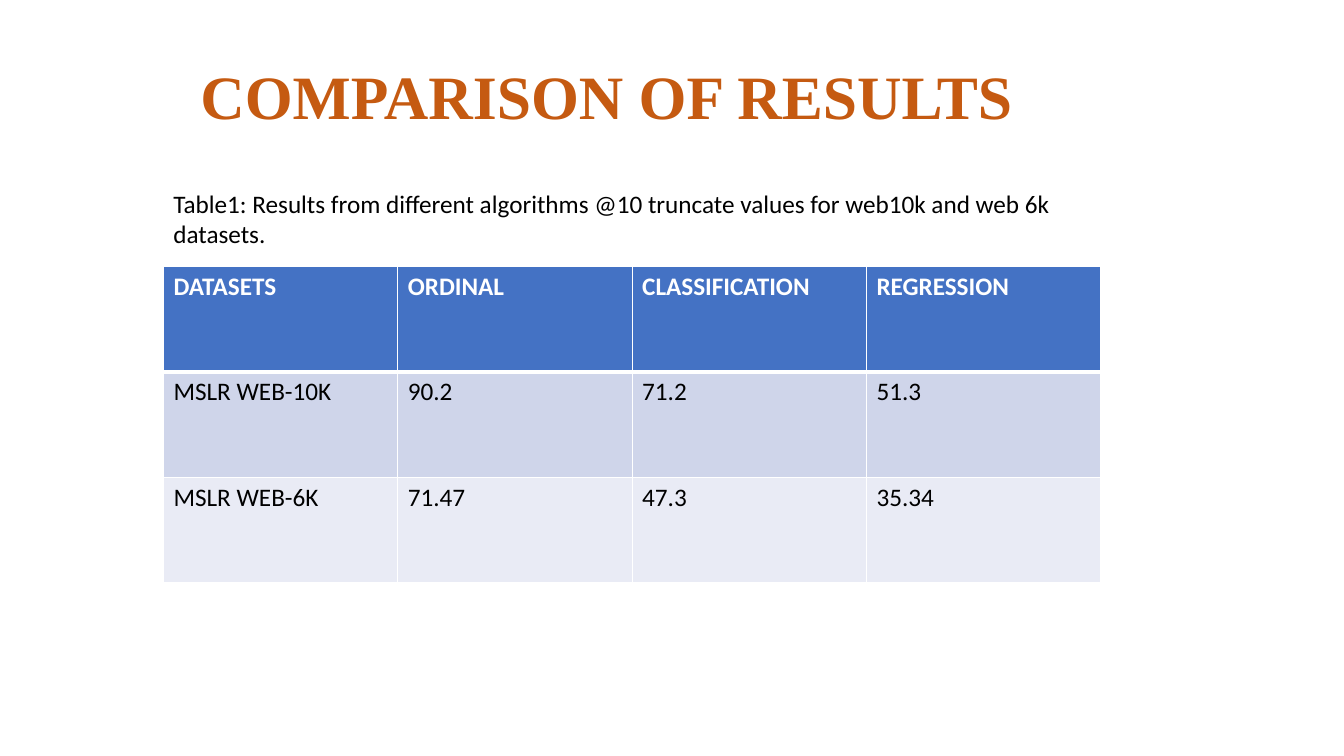
from dataclasses import dataclass

from lxml import etree
from pptx import Presentation
from pptx.dml.color import RGBColor
from pptx.enum.text import MSO_ANCHOR
from pptx.oxml.ns import qn
from pptx.util import Cm, Pt

MIDDLE = MSO_ANCHOR.MIDDLE
TOP = MSO_ANCHOR.TOP
BLANK_LAYOUT = 6

RESULTS = [
    ["DATASETS", "ORDINAL", "CLASSIFICATION", "REGRESSION"],
    ["MSLR WEB-10K", "90.2", "71.2", "51.3"],
    ["MSLR WEB-6K", "71.47", "47.3", "35.34"],
]


@dataclass(frozen=True)
class Theme:
    title_font: str = "Times New Roman"
    body_font: str = "Calibri"
    title_size: int = 44
    body_size: int = 18
    title_color: str = "C55A11"
    text_color: str = "000000"
    header_text: str = "FFFFFF"
    header_fill: str = "4472C4"
    band_fills: tuple = ("CFD5EA", "E9EBF5")
    border_color: str = "FFFFFF"
    border_width: int = 1
    header_rule_width: int = 3


def write_text(frame, text, *, font, size, color, bold=False, line_spacing=1.0):
    para = frame.paragraphs[0]
    para.line_spacing = line_spacing
    span = para.add_run()
    span.text = text
    span.font.name = font
    span.font.size = Pt(size)
    span.font.bold = bold
    span.font.color.rgb = RGBColor.from_string(color)


def set_borders(cell, color, widths):
    """Draw cell borders; widths maps L, R, T and B, in that order, to points."""
    properties = cell._tc.get_or_add_tcPr()
    for side, width in widths.items():
        line = etree.SubElement(properties, qn(f"a:ln{side}"), w=str(Pt(width)))
        fill = etree.SubElement(line, qn("a:solidFill"))
        etree.SubElement(fill, qn("a:srgbClr"), val=color)


class SlideBuilder:
    def __init__(self, page, theme):
        self.page = page
        self.theme = theme

    def text_box(self, text, left, top, width, height, *, anchor=TOP, **text_format):
        box = self.page.shapes.add_textbox(Cm(left), Cm(top), Cm(width), Cm(height))
        box.text_frame.word_wrap = True
        box.text_frame.vertical_anchor = anchor
        write_text(box.text_frame, text, **text_format)

    def title(self, text, *place):
        theme = self.theme
        self.text_box(text, *place, anchor=MIDDLE, font=theme.title_font,
                      size=theme.title_size, color=theme.title_color,
                      bold=True, line_spacing=0.9)

    def caption(self, text, *place):
        theme = self.theme
        self.text_box(text, *place, font=theme.body_font,
                      size=theme.body_size, color=theme.text_color)

    def table(self, rows, left, top, width, height):
        frame = self.page.shapes.add_table(
            len(rows), len(rows[0]), Cm(left), Cm(top), Cm(width), Cm(height))
        for row_index, row in enumerate(rows):
            for column_index, text in enumerate(row):
                self.table_cell(frame.table.cell(row_index, column_index), text, row_index)

    def table_cell(self, cell, text, row_index):
        theme = self.theme
        is_header = row_index == 0
        thin, thick = theme.border_width, theme.header_rule_width
        set_borders(cell, theme.border_color, {
            "L": thin,
            "R": thin,
            "T": thick if row_index == 1 else thin,
            "B": thick if is_header else thin,
        })
        band = theme.band_fills[(row_index - 1) % len(theme.band_fills)]
        cell.fill.solid()
        cell.fill.fore_color.rgb = RGBColor.from_string(
            theme.header_fill if is_header else band)
        write_text(cell.text_frame, text, font=theme.body_font, size=theme.body_size,
                   color=theme.header_text if is_header else theme.text_color,
                   bold=is_header)


def main():
    deck = Presentation()
    deck.slide_width, deck.slide_height = Cm(33.87), Cm(19.05)
    page = deck.slides.add_slide(deck.slide_layouts[BLANK_LAYOUT])
    builder = SlideBuilder(page, Theme())

    left, width = 4.12, 23.62
    builder.title("COMPARISON OF RESULTS", 4.8, 1.04, 25.96, 2.92)
    builder.caption("Table1: Results from different algorithms @10 truncate values "
                    "for web10k and web 6k datasets.", left, 4.62, width, 1.8)
    builder.table(RESULTS, left, 6.71, width, 7.98)

    deck.save("out.pptx")


if __name__ == "__main__":
    main()
